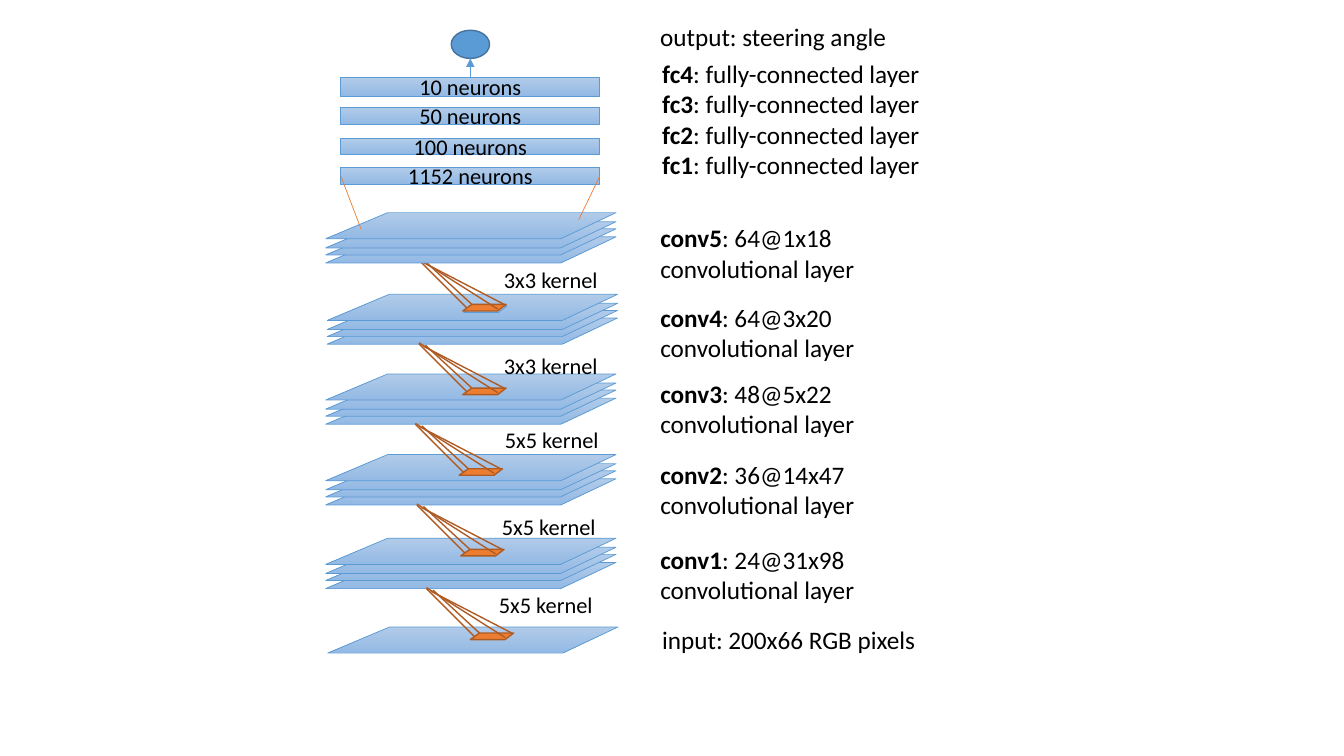
from pptx import Presentation
from pptx import util as u
from pptx.dml.color import RGBColor
from pptx.enum import shapes, text
from pptx.oxml.ns import qn
from lxml import etree

COLORS = {
    "sheet_top": "B1CBE9", "sheet_bottom": "93B9E4", "sheet_edge": "5B9BD5",
    "output": "5B9BD5", "output_edge": "43739E",
    "kernel": "ED7D31", "kernel_edge": "AF5C24", "text": "000000",
}
RGB = {name: RGBColor.from_string(value) for name, value in COLORS.items()}
CELL = u.Inches(0.1)  # grid of 133.3 columns by 75 rows
FONT = "Calibri"

# Outlines in cells from the top left corner
SHEET = [(6.15, 0), (0, 2.6), (23.3, 2.6), (28.8, 0)]
KERNEL = [(0.9, 0), (0, 0.65), (3.45, 0.65), (4.3, 0)]
RAYS = [((0.45, 0.4), (-4.35, -4.4)), ((0.9, 0), (-3.7, -4.25)),
        ((4.1, 0), (-3.9, -4.15)), ((3.45, 0.45), (-4.35, -4.5))]

prs = Presentation()
prs.slide_width, prs.slide_height = u.Inches(13.33), u.Inches(7.5)
slide = prs.slides.add_slide(prs.slide_layouts[6])


def add_outline(outline, col, row, color=None):
    """Draw an outline at a grid place, in one color or in the sheet gradient."""
    points = [((col + x) * CELL, (row + y) * CELL) for x, y in outline]
    builder = slide.shapes.build_freeform(*points[0])
    builder.add_line_segments(points[1:], close=True)
    piece = builder.convert_to_shape()
    finish(piece, color)


def finish(piece, color=None):
    """Fill and edge a shape; without a color it gets the sheet gradient."""
    piece.shadow.inherit = False
    if color:
        piece.fill.solid()
        piece.fill.fore_color.rgb = RGB[color]
    else:
        piece.fill.gradient()
        piece.fill.gradient_angle = 270
        for stop, name in zip(piece.fill.gradient_stops, ("sheet_top", "sheet_bottom")):
            stop.color.rgb = RGB[name]
    piece.line.color.rgb = RGB[f"{color or 'sheet'}_edge"]
    piece.line.width = u.Pt(1 if color else 0.5)


# Fully-connected layers, from top to bottom
bars = []
for row, height, neurons in [(7.7, 1.85, 10), (10.65, 1.7, 50),
                             (13.75, 1.55, 100), (16.6, 1.7, 1152)]:
    bar = slide.shapes.add_shape(shapes.MSO_SHAPE.RECTANGLE, int(33.8 * CELL),
                                 int(row * CELL), int(25.7 * CELL), int(height * CELL))
    finish(bar)
    bar.text_frame.vertical_anchor = text.MSO_ANCHOR.MIDDLE
    line = bar.text_frame.paragraphs[0]
    line.text = f"{neurons} neurons"
    line.alignment = text.PP_ALIGN.CENTER
    line.font.size, line.font.name = u.Pt(16), FONT
    line.font.color.rgb = RGB["text"]
    bars.append(bar)

# Output neuron
output = slide.shapes.add_shape(shapes.MSO_SHAPE.OVAL, int(44.75 * CELL), int(3 * CELL),
                                int(3.8 * CELL), int(2.8 * CELL))
finish(output, "output")

# Convolutional layers and input; conv5 comes last, over the tips of the rays
strokes = []
for col, row, depths, kernel in [
    (32.45, 29.2, (2.35, 1.6, 0.9, 0), (45.9, 30.2)),   # conv4
    (32.3, 37.1, (2.4, 1.6, 0.9, 0), (45.9, 38.5)),     # conv3
    (32.3, 45.1, (2.4, 1.6, 0.9, 0), (45.55, 46.5)),    # conv2
    (32.3, 53.4, (2.4, 1.6, 0.9, 0), (45.7, 54.5)),     # conv1
    (32.5, 62.2, (0,), (46.65, 62.8)),                  # input
    (32.3, 21.1, (2.4, 1.6, 0.9, 0), None),             # conv5
]:
    for depth in depths:
        add_outline(SHEET, col, row + depth)
    if kernel:
        left, top = kernel
        if row == 29.2:
            add_outline(KERNEL, left + 0.1, top + 0.15)
        add_outline(KERNEL, left, top, "kernel")
        for (x1, y1), (x2, y2) in RAYS:
            ray = slide.shapes.add_connector(
                shapes.MSO_CONNECTOR.STRAIGHT, int((left + x1) * CELL), int((top + y1) * CELL),
                int((left + x2) * CELL), int((top + y2) * CELL))
            strokes.append((ray, "kernel_edge", 1))

# Lines from the first fully-connected layer to conv5, and the arrow to the output
for bar, side, col, row, color in [(bars[-1], 1, 35.8, 22.7, "kernel"),
                                   (bars[-1], 3, 57.4, 21.8, "kernel"),
                                   (bars[0], 0, 46.65, 5.8, "sheet_edge")]:
    link = slide.shapes.add_connector(shapes.MSO_CONNECTOR.STRAIGHT, 0, 0,
                                      int(col * CELL), int(row * CELL))
    link.begin_connect(bar, side)
    strokes.append((link, color, 0.5))

for stroke, color, width in strokes:
    stroke.line.color.rgb = RGB[color]
    stroke.line.width = u.Pt(width)
    properties = stroke.element.find(qn("p:spPr"))
    etree.SubElement(properties, qn("a:effectLst"))
etree.SubElement(link.line._get_or_add_ln(), qn("a:tailEnd"), type="triangle")

# Labels: column, row, width, height, size, lines of (bold, plain)
labels = [
    (64.5, 1.6, 24.7, 4, 18, [("", "output: steering angle")]),
    (64.7, 5.3, 29, 16.2, 18, [(f"fc{n}", ": fully-connected layer") for n in (4, 3, 2, 1)]),
    (64.7, 61.4, 28, 4, 18, [("", "input: 200x66 RGB pixels")]),
]
for row, name, shape_of_maps in [(21.6, "conv5", "64@1x18"), (29.5, "conv4", "64@3x20"),
                                 (37, "conv3", "48@5x22"), (45.1, "conv2", "36@14x47"),
                                 (53.5, "conv1", "24@31x98")]:
    labels.append((64.5, row, 21.5, 7.1, 18,
                   [(name, f": {shape_of_maps}"), ("", "convolutional layer")]))
for col, row, side in [(49, 25.9, 3), (49, 34.4, 3), (49.1, 41.8, 5),
                       (48.8, 50.4, 5), (48.5, 58.2, 5)]:
    labels.append((col, row, 11.4, 3.7, 16, [("", f"{side}x{side} kernel")]))

for col, row, width, height, size, lines in labels:
    frame = slide.shapes.add_textbox(int(col * CELL), int(row * CELL),
                                     int(width * CELL), int(height * CELL)).text_frame
    frame.word_wrap = False
    for number, (bold, plain) in enumerate(lines):
        line = frame.add_paragraph() if number else frame.paragraphs[0]
        line.font.size, line.font.name = u.Pt(size), FONT
        line.font.color.rgb = RGB["text"]
        if bold:
            line.add_run().text = bold
            line.runs[0].font.bold = True
        line.add_run().text = plain

prs.save("out.pptx")
